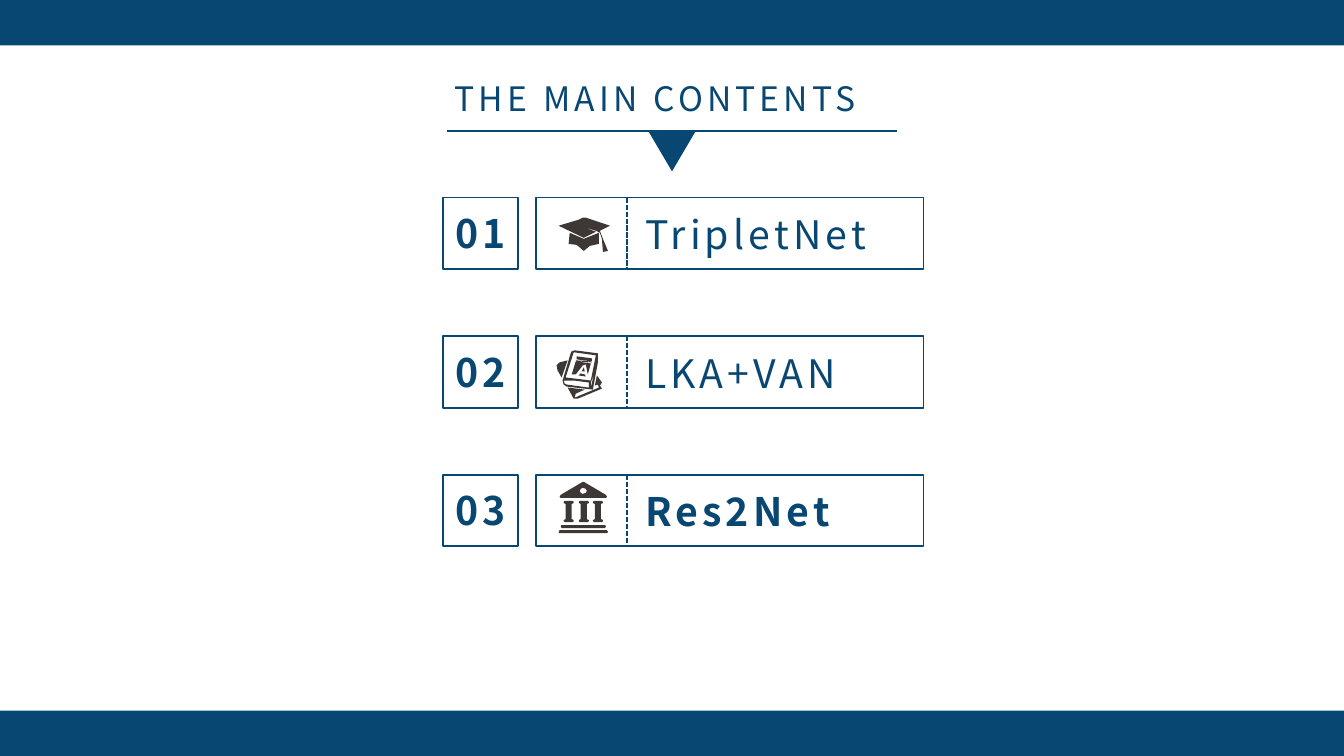
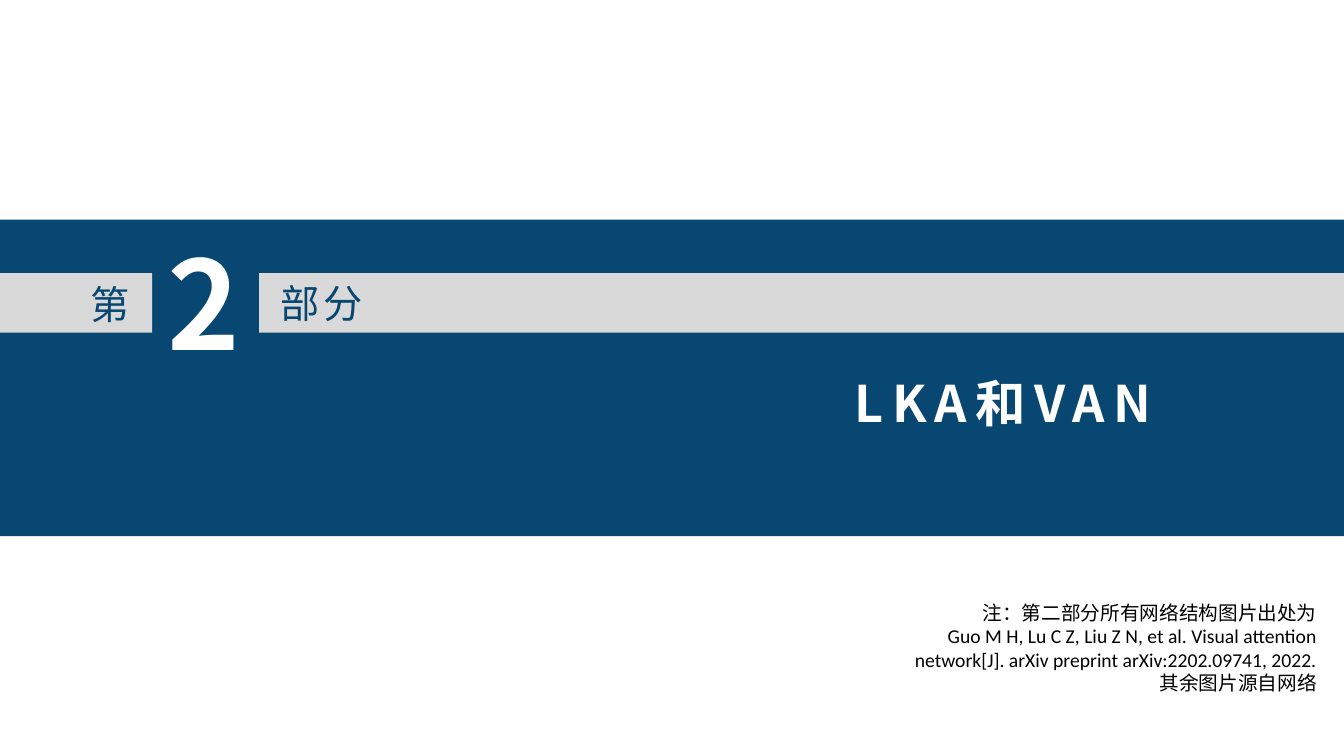
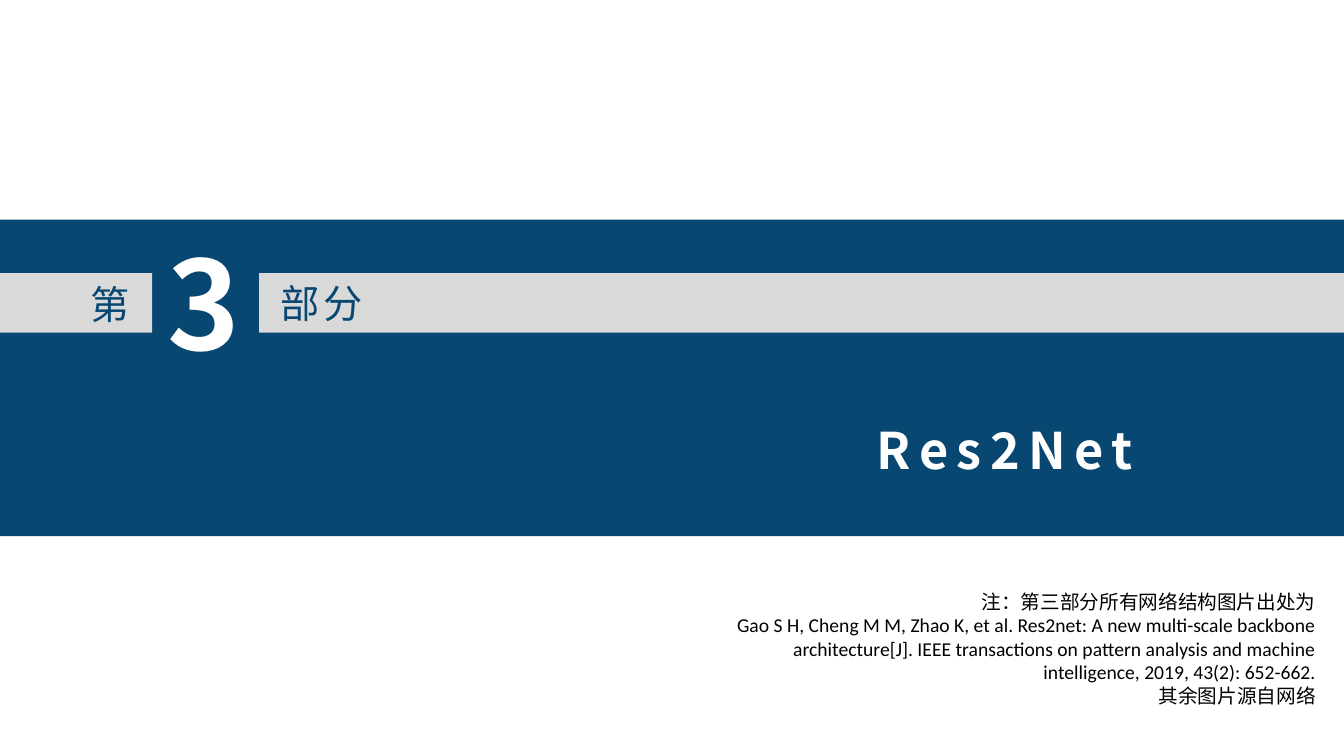
"""Build the contents slide and two part dividers."""
from dataclasses import dataclass

from lxml.etree import SubElement
from pptx import Presentation
from pptx.dml.color import RGBColor as Rgb
from pptx.enum.dml import MSO_LINE as Dash
from pptx.enum.shapes import MSO_CONNECTOR as Link, MSO_SHAPE as Kind
from pptx.enum.text import MSO_AUTO_SIZE as Fit, PP_ALIGN as Align
from pptx.oxml.ns import qn
from pptx.shapes.autoshape import Shape
from pptx.slide import Slide
from pptx.util import Inches, Pt

Points = list[tuple[float, float]]


@dataclass(frozen=True)
class Theme:
    """Colours, fonts and sizes."""
    navy: str = "084772"
    gray: str = "D9D9D9"
    ink: str = "3D3836"
    white: str = "FFFFFF"
    black: str = "000000"
    sans: str = "Noto Sans CJK SC"
    plain: str = "Calibri"
    note: int = 14
    title: int = 24
    label: int = 28
    head: int = 36
    digit: int = 88
    edge: float = 1.25
    rule: float = 1.5


@dataclass(frozen=True)
class Box:
    """A place on the slide, in inches."""
    left: float
    top: float
    width: float
    height: float


@dataclass(frozen=True)
class Style:
    """The look of one text."""
    size: int
    color: str
    bold: bool = False
    gap: int = 3
    font: str = "Noto Sans CJK SC"
    align: Align | None = None


@dataclass(frozen=True)
class Icon:
    """Outlines in hundredths of an inch, and their place in a row."""
    left: float
    drop: float
    loops: list[Points]


@dataclass(frozen=True)
class Entry:
    """One row of the contents."""
    name: str
    icon: Icon
    bold: bool = False


@dataclass(frozen=True)
class Part:
    """One divider slide."""
    digit: str
    head: str
    spot: Box
    notes: list[str]
    foot: Box


T = Theme()
WIDTH, HEIGHT = 13.33, 7.5
BAND = 0.45
FIRST, PITCH, TALL = 1.96, 2.75 / 2, 0.71


def bar(left: float, top: float, right: float, low: float) -> Points:
    """Outline a bar with cut ends."""
    mid = (top + low) / 2
    return [(left, mid), (left + 1, top), (right - 1, top),
            (right, mid), (right - 1, low), (left + 1, low)]


def column(left: float) -> Points:
    """Outline one column of the bank."""
    half = [(0, 21), (0, 20), (1, 19), (9, 19), (10, 20), (10, 21), (8, 22)]
    base = [(8, 37), (10, 38), (10, 39), (9, 40), (1, 40), (0, 39), (0, 38),
            (2, 37), (2, 22)]
    return [(left + x, y) for x, y in half + base]


CAP = Icon(5.54, 0.2, [
    [(20, 2), (24, 0), (27, 0), (51, 8), (41, 13), (44, 21), (49, 33),
     (44, 34), (43, 21), (41, 15), (37, 13), (24, 9), (37, 14), (25, 20),
     (0, 8)],
    [(11, 15), (10, 26), (18, 27), (25, 33), (31, 28), (40, 26), (40, 15),
     (25, 21)],
])
BOOKS = Icon(5.52, 0.14, [
    [(14, 3), (15, 1), (18, 0), (41, 3), (41, 12), (36, 39), (10, 36),
     (7, 34), (6, 30)],
    [(17, 2), (9, 27), (34, 30), (39, 5)],
    [(37, 24), (34, 32), (34, 37)],
    [(7, 30), (8, 33), (10, 34), (32, 37), (32, 32), (17, 30)],
    [(20, 6), (20, 9), (35, 11), (35, 8)],
    [(19, 10), (20, 11), (35, 12), (33, 11)],
    [(0, 15), (1, 20), (5, 27), (11, 10), (3, 12)],
    [(15, 24), (19, 24), (26, 15), (29, 14), (31, 24), (34, 13), (19, 11)],
    [(27, 17), (25, 21), (28, 21)],
    [(22, 25), (29, 26), (28, 24), (24, 23)],
    [(40, 25), (38, 35), (41, 34), (42, 37), (18, 47), (19, 43), (28, 39),
     (11, 37), (17, 48), (21, 48), (45, 38), (43, 35), (45, 32)],
])
BANK = Icon(5.54, 0.07, [
    bar(0, 48, 49, 51),
    bar(2, 43, 47, 46),
    [(1, 15), (2, 13), (24, 0), (25, 0), (47, 13), (48, 15), (47, 16),
     (2, 16)],
    [(21, 9), (22, 7), (24, 6), (27, 7), (28, 9), (27, 11), (24, 12),
     (22, 11)],
    *(column(x) for x in (5, 20, 34)),
])
ROWS = [Entry("TripletNet", CAP), Entry("LKA+VAN", BOOKS),
        Entry("Res2Net", BANK, True)]
PARTS = [
    Part("2", "LKA和VAN", Box(8.38, 3.64, 4.2, 0.71), [
        "注：第二部分所有网络结构图片出处为",
        "Guo M H, Lu C Z, Liu Z N, et al. Visual attention network[J]. "
        "arXiv preprint arXiv:2202.09741, 2022.",
        "其余图片源自网络",
    ], Box(8.72, 5.91, 4.44, 1.28)),
    Part("3", "Res2Net", Box(8.6, 4.11, 4.2, 0.71), [
        "注：第三部分所有网络结构图片出处为",
        "Gao S H, Cheng M M, Zhao K, et al. Res2net: A new multi-scale "
        "backbone architecture[J]. IEEE transactions on pattern analysis "
        "and machine intelligence, 2019, 43(2): 652-662.",
        "其余图片源自网络",
    ], Box(7.09, 5.8, 6.06, 1.28)),
]


def place(box: Box) -> tuple[int, int, int, int]:
    """Turn a box into slide lengths."""
    return (Inches(box.left), Inches(box.top),
            Inches(box.width), Inches(box.height))


def paint(shape: Shape, color: str) -> None:
    """Fill a shape and drop its line and shadow."""
    shape.shadow.inherit = False
    shape.fill.solid()
    shape.fill.fore_color.rgb = Rgb.from_string(color)
    shape.line.fill.background()


def block(slide: Slide, box: Box, color: str,
          kind: Kind = Kind.RECTANGLE) -> Shape:
    """Draw a filled shape."""
    shape = slide.shapes.add_shape(kind, *place(box))
    paint(shape, color)
    return shape


def frame(slide: Slide, box: Box) -> None:
    """Draw an outlined box."""
    shape = slide.shapes.add_shape(Kind.RECTANGLE, *place(box))
    shape.shadow.inherit = False
    shape.fill.background()
    shape.line.color.rgb = Rgb.from_string(T.navy)
    shape.line.width = Pt(T.edge)


def rule(slide: Slide, box: Box, weight: float,
         dash: Dash | None = None) -> None:
    """Draw a straight line across a box."""
    x, y, w, h = place(box)
    line = slide.shapes.add_connector(Link.STRAIGHT, x, y, x + w, y + h)
    line.line.color.rgb = Rgb.from_string(T.navy)
    line.line.width = Pt(weight)
    if dash is not None:
        line.line.dash_style = dash
    SubElement(line._element.spPr, qn("a:effectLst"))


def write(slide: Slide, box: Box, texts: list[str], style: Style) -> None:
    """Add a text box with one paragraph for each text."""
    body = slide.shapes.add_textbox(*place(box)).text_frame
    body.word_wrap = True
    body.auto_size = Fit.SHAPE_TO_FIT_TEXT
    body.text = "\n".join(texts)
    for para in body.paragraphs:
        para.alignment = style.align
        for run in para.runs:
            font = run.font
            font.size, font.bold = Pt(style.size), style.bold
            font.color.rgb = Rgb.from_string(style.color)
            font.name = style.font
            props = run._r.get_or_add_rPr()
            props.set("spc", str(style.gap * 100))
            SubElement(props, qn("a:ea"), typeface=T.sans)


def sketch(slide: Slide, icon: Icon, top: float) -> None:
    """Draw an icon as one outline."""
    first, *rest = icon.loops
    pen = slide.shapes.build_freeform(*first[0], scale=Inches(0.01))
    pen.add_line_segments(first[1:])
    for loop in rest:
        pen.move_to(*loop[0])
        pen.add_line_segments(loop[1:])
    shape = pen.convert_to_shape(Inches(icon.left), Inches(top + icon.drop))
    paint(shape, T.ink)


def contents(slide: Slide) -> None:
    """Draw the contents slide."""
    for top in (0, HEIGHT - BAND):
        block(slide, Box(0, top, WIDTH, BAND), T.navy)
    write(slide, Box(4.41, 0.72, 4.52, 0.5), ["THE MAIN CONTENTS"],
          Style(T.title, T.navy))
    rule(slide, Box(4.43, 1.3, 4.47, 0), T.rule)
    mark = block(slide, Box(6.43, 1.3, 0.47, 0.4), T.navy,
                 Kind.ISOSCELES_TRIANGLE)
    mark.rotation = 180
    for i, row in enumerate(ROWS):
        top = FIRST + i * PITCH
        frame(slide, Box(4.39, top, 0.75, TALL))
        frame(slide, Box(5.32, top, 3.84, TALL))
        write(slide, Box(4.42, top + 0.07, 0.97, 0.57), [f"{i + 1:02}"],
              Style(T.label, T.navy, True))
        write(slide, Box(6.3, top + 0.08, 3.1, 0.57), [row.name],
              Style(T.label, T.navy, row.bold))
        rule(slide, Box(6.22, top, 0, TALL), T.edge, Dash.SQUARE_DOT)
        sketch(slide, row.icon, top)


def divide(slide: Slide, part: Part) -> None:
    """Draw one divider slide."""
    block(slide, Box(0, 2.18, WIDTH, 3.14), T.navy)
    write(slide, part.spot, [part.head], Style(T.head, T.white, True, 6))
    for left, right in ((0, 1.51), (2.57, WIDTH)):
        block(slide, Box(left, 2.71, right - left, 0.59), T.gray)
    label = Style(T.label, T.navy)
    write(slide, Box(0.8, 2.73, 0.83, 0.57), ["第"], label)
    write(slide, Box(2.68, 2.72, 1.24, 0.57), ["部分"], label)
    write(slide, Box(1.56, 2.21, 0.83, 1.58), [part.digit],
          Style(T.digit, T.white, True))
    write(slide, part.foot, part.notes,
          Style(T.note, T.black, False, 0, T.plain, Align.RIGHT))


def main() -> None:
    """Build and save the deck."""
    deck = Presentation()
    deck.slide_width, deck.slide_height = Inches(WIDTH), Inches(HEIGHT)
    blank = deck.slide_layouts[6]
    contents(deck.slides.add_slide(blank))
    for part in PARTS:
        divide(deck.slides.add_slide(blank), part)
    deck.save("out.pptx")


if __name__ == "__main__":
    main()
